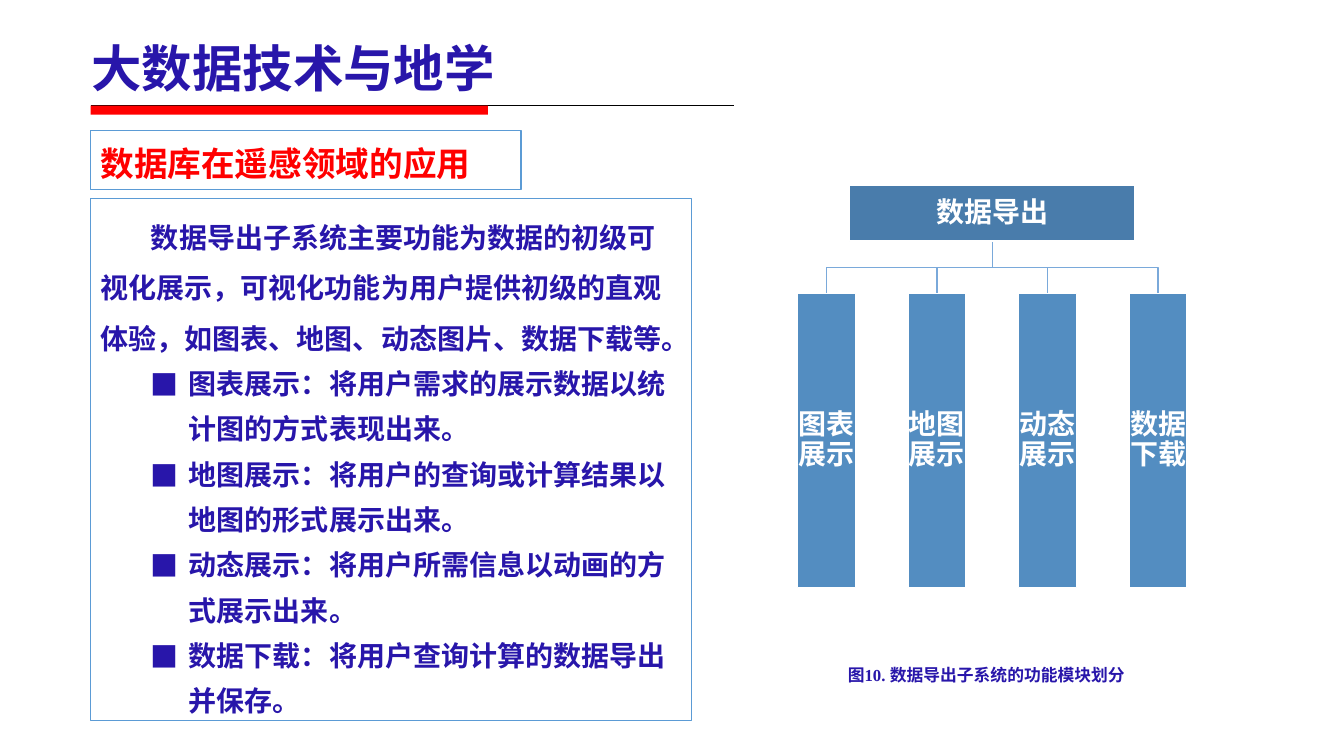
"""Build the slide on remote sensing data export."""
from dataclasses import dataclass

from lxml.etree import SubElement
from pptx import Presentation
from pptx.dml.color import RGBColor
from pptx.enum.shapes import MSO_CONNECTOR as Connector, MSO_SHAPE as Preset
from pptx.enum.text import MSO_ANCHOR as Anchor, PP_ALIGN as Align
from pptx.oxml.ns import qn
from pptx.util import Pt


@dataclass(frozen=True)
class Theme:
    """Colours, fonts and type sizes of the slide."""
    navy: str = "2816AA"
    red: str = "FF0000"
    white: str = "FFFFFF"
    rule: str = "000000"
    border: str = "5B9BD5"
    link: str = "7AA9DA"
    root: str = "497CAB"
    leaf: str = "538DC1"
    sans: str = "Noto Sans CJK SC"
    serif: str = "Times New Roman"
    title: int = 36
    heading: int = 24
    body: int = 20
    caption: int = 12


THEME = Theme()
INTRO = ("数据导出子系统主要功能为数据的初级可视化展示，可视化功能为用户提供初级的直观体验，"
         "如图表、地图、动态图片、数据下载等。")
MODULES = {
    "图表展示": "将用户需求的展示数据以统计图的方式表现出来。",
    "地图展示": "将用户的查询或计算结果以地图的形式展示出来。",
    "动态展示": "将用户所需信息以动画的方式展示出来。",
    "数据下载": "将用户查询计算的数据导出并保存。",
}


def add_span(para, text, size=THEME.body, color=THEME.navy, font=THEME.sans):
    """Add a bold run with its Latin and East Asian fonts."""
    span = para.add_run()
    span.text = text
    span.font.size = Pt(size)
    span.font.bold = True
    span.font.color.rgb = RGBColor.from_string(color)
    span.font.name = font
    SubElement(span.font._element, qn("a:ea"), typeface=THEME.sans)


def write(shape, text, align=Align.LEFT, spacing=1.0, after=0, left=0, indent=0,
          bullet=None, **look):
    """Write one paragraph into a shape, filling its empty first one."""
    frame = shape.text_frame
    para = frame.paragraphs[0] if not frame.text else frame.add_paragraph()
    para.alignment = align
    para.line_spacing = spacing
    para.space_after = Pt(after)
    layout = para._p.get_or_add_pPr()
    layout.set("marL", str(Pt(left)))
    layout.set("indent", str(Pt(indent)))
    if bullet:
        para.level = 1
        SubElement(layout, qn("a:buFont"), typeface=THEME.sans)
        SubElement(layout, qn("a:buChar"), char=bullet)
    if text:
        add_span(para, text, **look)
    return para


def add_box(page, left, top, width, height, fill, line=None, anchor=Anchor.TOP, inset=None):
    """Add a plain rectangle that can hold text."""
    box = page.shapes.add_shape(Preset.RECTANGLE, Pt(left), Pt(top), Pt(width), Pt(height))
    box.shadow.inherit = False
    box.fill.solid()
    box.fill.fore_color.rgb = RGBColor.from_string(fill)
    if line:
        box.line.color.rgb = RGBColor.from_string(line)
        box.line.width = Pt(1)
    else:
        box.line.fill.background()
    frame = box.text_frame
    frame.word_wrap = True
    frame.vertical_anchor = anchor
    if inset is not None:
        frame.margin_left = frame.margin_right = Pt(inset)
        frame.margin_top = frame.margin_bottom = Pt(inset)
    return box


def add_label(page, left, top, width, height, anchor=Anchor.TOP):
    """Add a wrapping text box."""
    label = page.shapes.add_textbox(Pt(left), Pt(top), Pt(width), Pt(height))
    label.text_frame.word_wrap = True
    label.text_frame.vertical_anchor = anchor
    return label


def add_rule(page, left, top, width):
    """Add a thin horizontal line."""
    rule = page.shapes.add_connector(
        Connector.STRAIGHT, Pt(left), Pt(top), Pt(left + width), Pt(top))
    rule.line.color.rgb = RGBColor.from_string(THEME.rule)
    rule.line.width = Pt(0.75)
    SubElement(rule._element.spPr, qn("a:effectLst"))


def add_link(page, start_x, start_y, end_x, end_y):
    """Add an open elbow that bends halfway down."""
    middle = (start_y + end_y) / 2
    builder = page.shapes.build_freeform(Pt(start_x), Pt(start_y))
    corners = [(start_x, middle), (end_x, middle), (end_x, end_y)]
    builder.add_line_segments([(Pt(x), Pt(y)) for x, y in corners], close=False)
    link = builder.convert_to_shape()
    link.shadow.inherit = False
    link.fill.background()
    link.line.color.rgb = RGBColor.from_string(THEME.link)
    link.line.width = Pt(1)


def add_node(page, text, left, top, width, height, fill):
    """Add a labelled node of the module tree."""
    node = add_box(page, left, top, width, height, fill, THEME.white, Anchor.MIDDLE, 0.7)
    write(node, text, Align.CENTER, 0.9, 7, color=THEME.white)


def add_tree(page, root, leaves):
    """Add a root node with a row of leaves linked below it."""
    left, pitch, leaf_width, leaf_top, leaf_height = 569.5, 79, 41.5, 209.6, 210.2
    root_top, root_width, root_height = 132.5, 203.8, 39.8
    lefts = [left + pitch * index for index in range(len(leaves))]
    center = (lefts[0] + lefts[-1] + leaf_width) / 2
    for leaf_left in lefts:
        add_link(page, center, root_top + root_height, leaf_left + leaf_width / 2, leaf_top)
    add_node(page, root, center - root_width / 2, root_top, root_width, root_height, THEME.root)
    for leaf, leaf_left in zip(leaves, lefts):
        add_node(page, leaf, leaf_left, leaf_top, leaf_width, leaf_height, THEME.leaf)


def main():
    """Build and save the deck."""
    deck = Presentation()
    deck.slide_width, deck.slide_height = Pt(960), Pt(540)
    page = deck.slides.add_slide(deck.slide_layouts[6])

    heading = add_box(page, 64.8, 93, 307.5, 42.5, THEME.white, THEME.border)
    write(heading, "数据库在遥感领域的应用", spacing=1.2, after=6,
          size=THEME.heading, color=THEME.red, font=THEME.serif)
    add_rule(page, 64.8, 75.5, 459.2)
    add_box(page, 64.8, 75.5, 283.7, 6.5, THEME.red)
    title = add_label(page, 58.3, 23, 486, 46, Anchor.MIDDLE)
    write(title, "大数据技术与地学", spacing=1.1, after=6, size=THEME.title)

    body = add_box(page, 64.8, 141.8, 429, 373, THEME.white, THEME.border)
    write(body, INTRO, spacing=1.5, indent=36)
    for name, purpose in MODULES.items():
        write(body, f"{name}：{purpose}", spacing=1.35, left=63, indent=-27, bullet="■")

    caption = add_label(page, 520.6, 471, 368, 21.6)
    para = write(caption, "", Align.CENTER)
    for text, font in [("图", THEME.sans), ("10. ", THEME.serif),
                       ("数据导出子系统的功能模块划分", THEME.sans)]:
        add_span(para, text, size=THEME.caption, font=font)

    add_tree(page, "数据导出", list(MODULES))
    deck.save("out.pptx")


if __name__ == "__main__":
    main()
